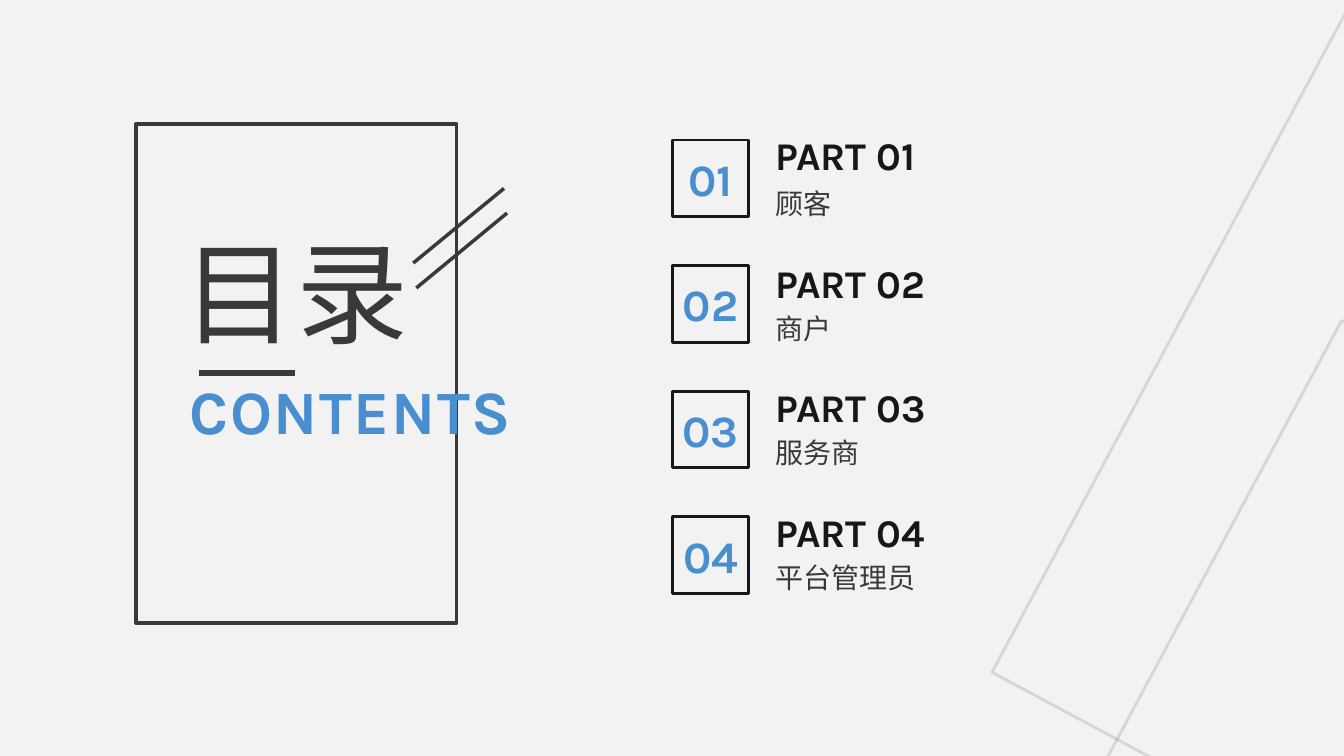
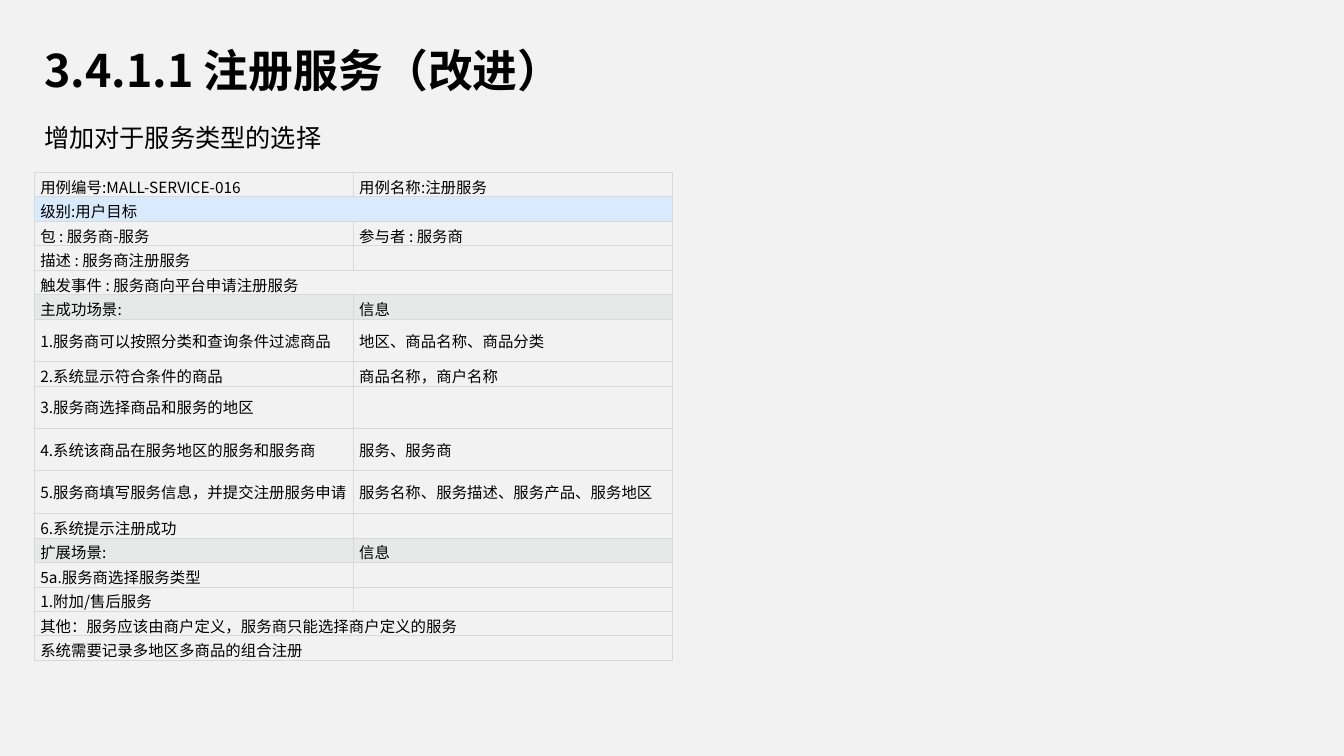
"""Build a contents slide and a use-case table slide."""
from dataclasses import dataclass

from lxml import etree
from pptx import Presentation
from pptx.dml.color import RGBColor
from pptx.enum.shapes import MSO_CONNECTOR, MSO_SHAPE
from pptx.enum.text import MSO_ANCHOR, MSO_AUTO_SIZE, PP_ALIGN
from pptx.oxml.ns import qn
from pptx.shapes.autoshape import Shape
from pptx.slide import Slide
from pptx.table import _Cell
from pptx.text.text import TextFrame
from pptx.util import Pt

RECTANGLE = MSO_SHAPE.RECTANGLE
STRAIGHT = MSO_CONNECTOR.STRAIGHT
LEFT, CENTER = PP_ALIGN.LEFT, PP_ALIGN.CENTER
TOP, MIDDLE = MSO_ANCHOR.TOP, MSO_ANCHOR.MIDDLE
GROW = MSO_AUTO_SIZE.SHAPE_TO_FIT_TEXT

BACKGROUND, DARK, INK, BLACK = "F2F2F2", "3B3838", "181717", "000000"
BLUE, PALE_BLUE, PALE_GREY, BORDER = "498FCF", "D9EAFC", "E7E9E8", "D9D9D9"
LATIN, CHINESE = "Karla", "Noto Sans CJK SC"

SQUARE_SIZE, SQUARE_LEFT, SQUARE_TOP, SQUARE_STEP = 54.7, 480.25, 100, 89.75
LABEL_LEFT, LABEL_TOP, LABEL_STEP = 546.5, 129.6, 89.05
TABLE_LEFT, TABLE_TOP, COLUMN_WIDTH = 24.5, 123.1, 227.8
ROW_HEIGHT, TALL_ROW_HEIGHT = 17.45, 30.2


@dataclass(frozen=True)
class Box:
    """Left, top, width and height in points."""

    left: float
    top: float
    width: float
    height: float


@dataclass(frozen=True)
class Stroke:
    """A straight line between two points."""

    x1: float
    y1: float
    x2: float
    y2: float
    width: float = 2.5


@dataclass(frozen=True)
class Part:
    """One entry of the contents list."""

    name: str
    title_top: float


@dataclass(frozen=True)
class Row:
    """One table row; without a right text of its own it may be merged."""

    left: str
    right: str = ""
    merged: bool = False
    tall: bool = False
    fill: str | None = None


STROKES = [
    Stroke(141.9, 266.4, 210.9, 266.4, 4),
    Stroke(360, 134.6, 295.2, 187.9),
    Stroke(362.2, 152.2, 297.4, 205.7),
]
PARTS = [Part("顾客", 90), Part("商户", 181.4), Part("服务商", 270), Part("平台管理员", 359.3)]
ROWS = [
    Row("用例编号:MALL-SERVICE-016", "用例名称:注册服务"),
    Row("级别:用户目标", merged=True, fill=PALE_BLUE),
    Row("包 : 服务商-服务", "参与者 : 服务商"),
    Row("描述 : 服务商注册服务"),
    Row("触发事件 : 服务商向平台申请注册服务", merged=True),
    Row("主成功场景:", "信息", fill=PALE_GREY),
    Row("1.服务商可以按照分类和查询条件过滤商品", "地区、商品名称、商品分类", tall=True),
    Row("2.系统显示符合条件的商品", "商品名称，商户名称"),
    Row("3.服务商选择商品和服务的地区", tall=True),
    Row("4.系统该商品在服务地区的服务和服务商", "服务、服务商", tall=True),
    Row("5.服务商填写服务信息，并提交注册服务申请", "服务名称、服务描述、服务产品、服务地区", tall=True),
    Row("6.系统提示注册成功"),
    Row("扩展场景:", "信息", fill=PALE_GREY),
    Row("5a.服务商选择服务类型"),
    Row("1.附加/售后服务"),
    Row("其他：服务应该由商户定义，服务商只能选择商户定义的服务", merged=True),
    Row("系统需要记录多地区多商品的组合注册", merged=True),
]


def colour(value: str) -> RGBColor:
    """Turn a hex string into a colour."""
    return RGBColor.from_string(value)


def write(frame: TextFrame, text: str, *, size: float, color: str, font: str = CHINESE,
          bold: bool = False, spacing: float = 0, align: PP_ALIGN = LEFT,
          line_spacing: float | Pt | None = None) -> None:
    """Fill a text frame with one formatted paragraph."""
    para = frame.paragraphs[0]
    para.alignment = align
    if line_spacing is not None:
        para.line_spacing = line_spacing
    if not text:
        etree.SubElement(para._p, qn("a:endParaRPr"), sz=str(int(size * 100)))
        return
    span = para.add_run()
    span.text = text
    span.font.name = font
    span.font.size = Pt(size)
    span.font.bold = bold
    span.font.color.rgb = colour(color)
    properties = span._r.get_or_add_rPr()
    etree.SubElement(properties, qn("a:ea"), typeface=font)
    if spacing:
        properties.set("spc", str(round(spacing * 100)))


def add_text(page: Slide, box: Box, text: str, *, anchor: MSO_ANCHOR = TOP,
             grow: bool = True, **style) -> None:
    """Add a wrapped text box."""
    shape = page.shapes.add_textbox(Pt(box.left), Pt(box.top), Pt(box.width), Pt(box.height))
    frame = shape.text_frame
    frame.word_wrap = True
    frame.vertical_anchor = anchor
    if grow:
        frame.auto_size = GROW
    write(frame, text, **style)


def add_outline(page: Slide, box: Box, color: str, width: float, *,
                rotation: float = 0, opacity: int = 100) -> Shape:
    """Add an unfilled rectangle."""
    shape = page.shapes.add_shape(
        RECTANGLE, Pt(box.left), Pt(box.top), Pt(box.width), Pt(box.height))
    shape.shadow.inherit = False
    shape.rotation = rotation
    shape.fill.background()
    shape.line.color.rgb = colour(color)
    shape.line.width = Pt(width)
    if opacity < 100:
        tint = shape.line._ln.find(".//" + qn("a:srgbClr"))
        etree.SubElement(tint, qn("a:alpha"), val=str(opacity * 1000))
    return shape


def add_stroke(page: Slide, stroke: Stroke) -> None:
    """Add a straight dark line."""
    line = page.shapes.add_connector(
        STRAIGHT, Pt(stroke.x1), Pt(stroke.y1), Pt(stroke.x2), Pt(stroke.y2))
    line.line.color.rgb = colour(DARK)
    line.line.width = Pt(stroke.width)
    etree.SubElement(line._element.spPr, qn("a:effectLst"))


def add_part(page: Slide, index: int, part: Part) -> None:
    """Add a numbered square with its title and label."""
    number = f"{index + 1:02}"
    box = Box(SQUARE_LEFT, SQUARE_TOP + index * SQUARE_STEP, SQUARE_SIZE, SQUARE_SIZE)
    frame = add_outline(page, box, INK, 2).text_frame
    frame.margin_left = frame.margin_right = 0
    frame.vertical_anchor = MIDDLE
    write(frame, number, size=32, color=BLUE, font=LATIN, bold=True, align=CENTER)
    add_text(page, Box(LABEL_LEFT, part.title_top, 162, 41), f"PART {number}",
             size=28, color=INK, font=LATIN, bold=True)
    add_text(page, Box(LABEL_LEFT, LABEL_TOP + index * LABEL_STEP, 245.5, 31.5), part.name,
             size=20, color=DARK)


def format_cell(cell: _Cell, text: str, fill: str | None) -> None:
    """Set the text, margins, borders and fill of a cell."""
    cell.margin_left = cell.margin_right = Pt(4.3)
    cell.margin_top = cell.margin_bottom = Pt(2.15)
    cell.vertical_anchor = MIDDLE
    write(cell.text_frame, text, size=11, color=BLACK)
    properties = cell._tc.get_or_add_tcPr()
    for side in ("lnL", "lnR", "lnT", "lnB"):
        border = etree.SubElement(properties, qn(f"a:{side}"), w=str(Pt(0.75)))
        solid = etree.SubElement(border, qn("a:solidFill"))
        etree.SubElement(solid, qn("a:srgbClr"), val=BORDER)
    if fill:
        cell.fill.solid()
        cell.fill.fore_color.rgb = colour(fill)
    else:
        cell.fill.background()


def add_use_case(page: Slide) -> None:
    """Add the use-case table."""
    heights = [TALL_ROW_HEIGHT if row.tall else ROW_HEIGHT for row in ROWS]
    table = page.shapes.add_table(
        len(ROWS), 2, Pt(TABLE_LEFT), Pt(TABLE_TOP),
        Pt(2 * COLUMN_WIDTH), Pt(sum(heights))).table
    table.first_row = table.horz_banding = False
    for column in table.columns:
        column.width = Pt(COLUMN_WIDTH)
    for index, (row, height) in enumerate(zip(ROWS, heights)):
        table.rows[index].height = Pt(height)
        left, right = table.cell(index, 0), table.cell(index, 1)
        format_cell(left, row.left, row.fill)
        format_cell(right, row.right, row.fill)
        if row.merged:
            left.merge(right)


def build_contents(page: Slide) -> None:
    """Draw the contents slide."""
    for left, top in ((804.25, 99.35), (798.5, 324.7)):
        add_outline(page, Box(left, top, 540.7, 540.7), DARK, 2, rotation=298.2, opacity=15)
    add_outline(page, Box(97.2, 88.6, 229, 356.4), DARK, 2.5)
    add_text(page, Box(128.2, 262.8, 339.8, 60.5), "CONTENTS",
             size=44, color=BLUE, font=LATIN, bold=True, spacing=1.2)
    add_text(page, Box(123.8, 200.2, 299.5, 67.7), "目录",
             size=80, color=DARK, spacing=1.3, line_spacing=Pt(52))
    for stroke in STROKES:
        add_stroke(page, stroke)
    for index, part in enumerate(PARTS):
        add_part(page, index, part)


def build_use_case(page: Slide) -> None:
    """Draw the use-case slide."""
    add_text(page, Box(24.5, 21.6, 398.9, 61.2), "3.4.1.1 注册服务（改进）", anchor=MIDDLE,
             grow=False, size=32, color=BLACK, bold=True, line_spacing=0.9)
    add_text(page, Box(24.5, 83.5, 595.4, 28.8), "增加对于服务类型的选择", size=18, color=BLACK)
    add_use_case(page)


def main() -> None:
    """Build and save the deck."""
    deck = Presentation()
    deck.slide_width, deck.slide_height = Pt(960), Pt(540)
    backdrop = deck.slide_master.background.fill
    backdrop.solid()
    backdrop.fore_color.rgb = colour(BACKGROUND)
    for build in (build_contents, build_use_case):
        build(deck.slides.add_slide(deck.slide_layouts[6]))
    deck.save("out.pptx")


if __name__ == "__main__":
    main()
